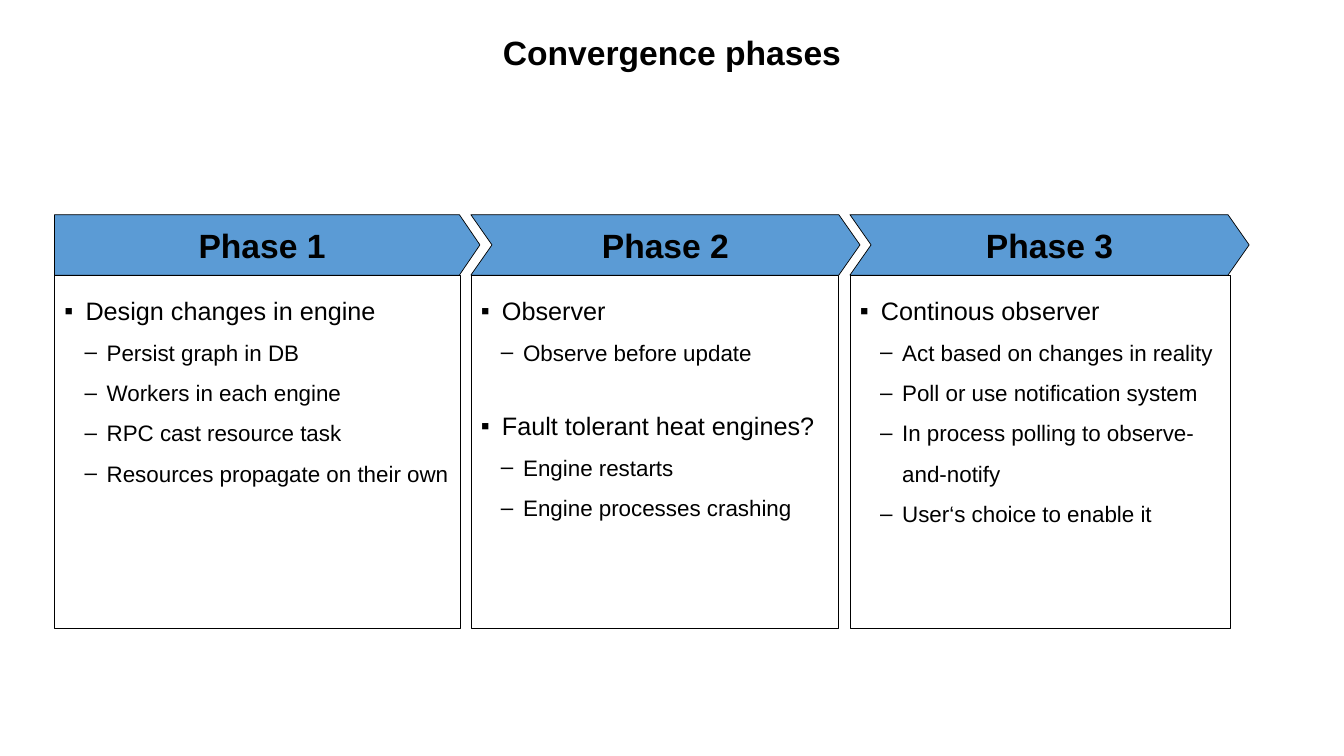
from lxml import etree
from pptx import Presentation
from pptx.dml.color import RGBColor
from pptx.enum.shapes import MSO_SHAPE
from pptx.enum.text import MSO_ANCHOR, PP_ALIGN
from pptx.oxml.ns import qn
from pptx.util import Inches, Pt

COLORS = {"text": "000000", "line": "000000", "header": "5B9BD5", "panel": "FFFFFF"}
FONT = "Arial"
HEADER_TOP, HEADER_HEIGHT, PANEL_HEIGHT = 2.13, 0.6, 3.5
TOPIC, DETAIL = 0, 1

# Per level: bullet, text size, left margin, hanging indent
LEVELS = [("▪", 18, 0.21, 0.21), ("–", 16, 0.42, 0.22)]

# Per phase: name, left, header width, panel width, header shape, point depth, items
PHASES = [
    ("Phase 1", 0.54, 4.22, 4.03, MSO_SHAPE.PENTAGON, 0.34, [
        (TOPIC, "Design changes in engine"),
        (DETAIL, "Persist graph in DB"),
        (DETAIL, "Workers in each engine"),
        (DETAIL, "RPC cast resource task"),
        (DETAIL, "Resources propagate on their own"),
    ]),
    ("Phase 2", 4.67, 3.86, 3.65, MSO_SHAPE.CHEVRON, 0.35, [
        (TOPIC, "Observer"),
        (DETAIL, "Observe before update"),
        (TOPIC, "Fault tolerant heat engines?"),
        (DETAIL, "Engine restarts"),
        (DETAIL, "Engine processes crashing"),
    ]),
    ("Phase 3", 8.43, 3.96, 3.77, MSO_SHAPE.CHEVRON, 0.35, [
        (TOPIC, "Continous observer"),
        (DETAIL, "Act based on changes in reality"),
        (DETAIL, "Poll or use notification system"),
        (DETAIL, "In process polling to observe-and-notify"),
        (DETAIL, "User‘s choice to enable it"),
    ]),
]


def add_outlined(kind, left, top, width, height, fill):
    shape = slide.shapes.add_shape(
        kind, Inches(left), Inches(top), Inches(width), Inches(height))
    shape.shadow.inherit = False
    shape.fill.solid()
    shape.fill.fore_color.rgb = RGBColor.from_string(COLORS[fill])
    shape.line.color.rgb = RGBColor.from_string(COLORS["line"])
    shape.line.width = Pt(0.5)
    shape.text_frame.word_wrap = True
    return shape


def write(paragraph, text, size, align, bold=False):
    paragraph.text = text
    paragraph.alignment = align
    font = paragraph.runs[0].font
    font.name, font.size, font.bold = FONT, Pt(size), bold
    font.color.rgb = RGBColor.from_string(COLORS["text"])


prs = Presentation()
prs.slide_width, prs.slide_height = Inches(13.33), Inches(7.5)
slide = prs.slides.add_slide(prs.slide_layouts[6])

# Title
title = slide.shapes.add_textbox(0, 0, prs.slide_width, Inches(1.09))
title.text_frame.word_wrap = True
title.text_frame.vertical_anchor = MSO_ANCHOR.MIDDLE
heading = title.text_frame.paragraphs[0]
write(heading, "Convergence phases", 24, PP_ALIGN.CENTER, bold=True)
heading.line_spacing = 0.9

for name, left, header_width, panel_width, kind, depth, items in PHASES:
    # Phase arrow
    header = add_outlined(kind, left, HEADER_TOP, header_width, HEADER_HEIGHT, "header")
    header.adjustments[0] = depth
    header.text_frame.vertical_anchor = MSO_ANCHOR.MIDDLE
    write(header.text_frame.paragraphs[0], name, 24, PP_ALIGN.CENTER, bold=True)

    # Panel with bulleted items
    panel = add_outlined(MSO_SHAPE.RECTANGLE, left, HEADER_TOP + HEADER_HEIGHT,
                         panel_width, PANEL_HEIGHT, "panel")
    frame = panel.text_frame
    frame.vertical_anchor = MSO_ANCHOR.TOP
    for index, (level, text) in enumerate(items):
        item = frame.add_paragraph() if index else frame.paragraphs[0]
        bullet, size, margin, hanging = LEVELS[level]
        write(item, text, size, PP_ALIGN.LEFT)
        item.level = level
        item.line_spacing = 1.5
        item.space_before = Pt(21 if index and level == TOPIC else 0)
        properties = item._p.get_or_add_pPr()
        properties.set("marL", str(Inches(margin)))
        properties.set("indent", str(-Inches(hanging)))
        bullet_color = etree.SubElement(properties, qn("a:buClr"))
        etree.SubElement(bullet_color, qn("a:srgbClr"), val=COLORS["text"])
        etree.SubElement(properties, qn("a:buFont"), typeface=FONT)
        etree.SubElement(properties, qn("a:buChar"), char=bullet)

prs.save("out.pptx")
